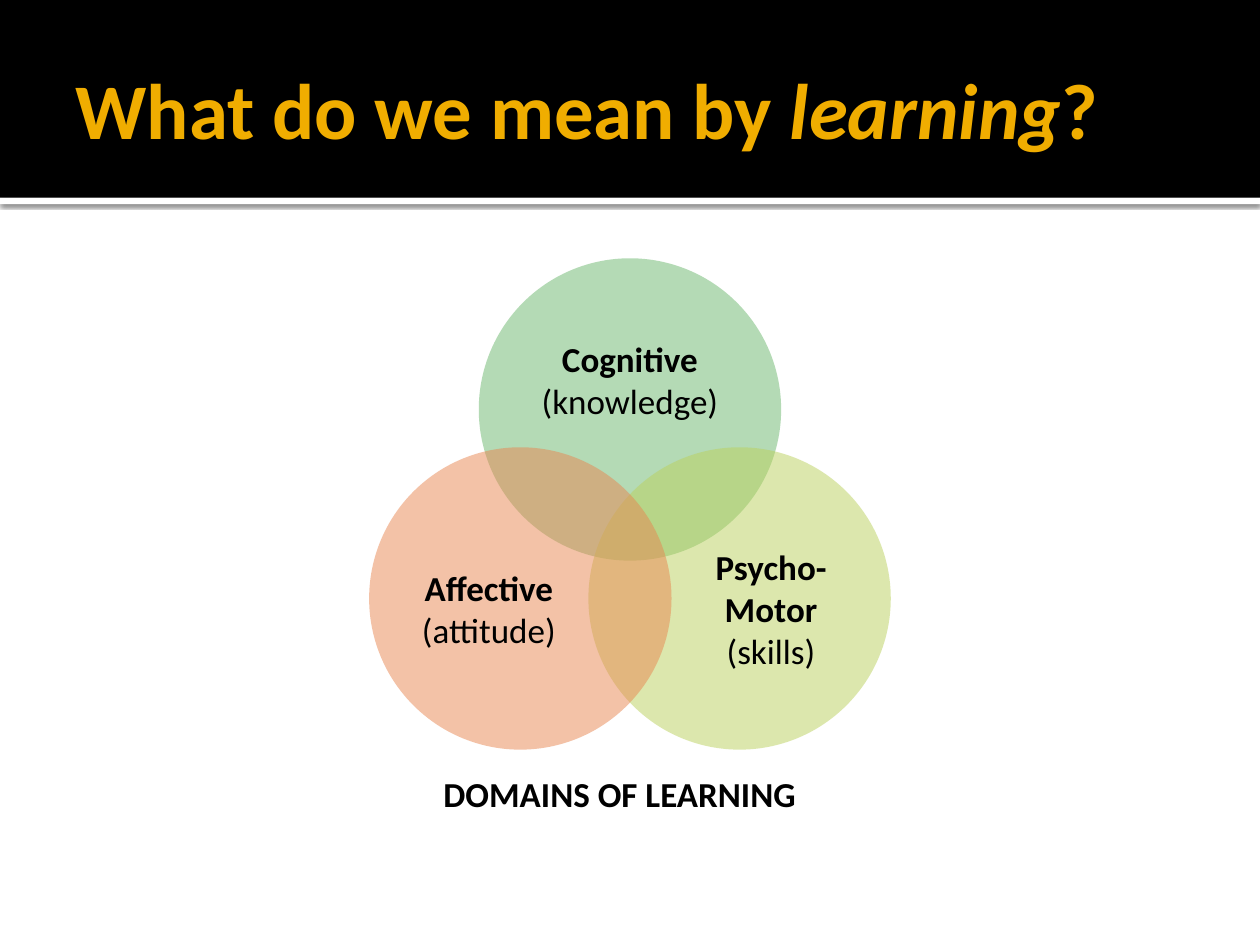
from dataclasses import dataclass

from lxml import etree
from pptx import Presentation
from pptx.dml.color import RGBColor
from pptx.enum.shapes import MSO_SHAPE
from pptx.enum.text import MSO_ANCHOR, MSO_AUTO_SIZE, PP_ALIGN
from pptx.oxml import parse_xml
from pptx.oxml.ns import nsdecls, qn
from pptx.util import Emu, Pt

PX = 9144  # EMU per px, 100 px to the inch
FONT = "Calibri"
COLORS = {
    "black": "000000",
    "white": "FFFFFF",
    "gold": "F0AD00",
    "green": "6BB76D",
    "lime": "BBD15D",
    "orange": "E88651",
}
DIAMETER = 240


@dataclass(frozen=True)
class Box:
    left: int
    top: int
    width: int
    height: int

    def emu(self) -> list[Emu]:
        return [Emu(v * PX) for v in (self.left, self.top, self.width, self.height)]


@dataclass(frozen=True)
class Domain:
    name: str
    meaning: str
    color: str
    left: int
    top: int
    label: Box


DOMAINS = [
    Domain("Cognitive", "(knowledge)", "green", 380, 205, Box(412, 247, 176, 108)),
    Domain("Psycho-Motor", "(skills)", "lime", 467, 355, Box(540, 417, 144, 132)),
    Domain("Affective", "(attitude)", "orange", 293, 355, Box(316, 417, 144, 132)),
]


def rgb(color: str) -> RGBColor:
    return RGBColor.from_string(COLORS[color])


def format_run(r, size: int, color: str, bold: bool = True) -> None:
    r.font.name = FONT
    r.font.size = Pt(size)
    r.font.bold = bold
    r.font.color.rgb = rgb(color)


def set_margins(tf, left: int, top: int, right: int, bottom: int) -> None:
    tf.margin_left, tf.margin_top = Emu(left * PX), Emu(top * PX)
    tf.margin_right, tf.margin_bottom = Emu(right * PX), Emu(bottom * PX)


def add_filled(shapes, kind: MSO_SHAPE, box: Box, color: str):
    sp = shapes.add_shape(kind, *box.emu())
    sp.shadow.inherit = False
    sp.fill.solid()
    sp.fill.fore_color.rgb = rgb(color)
    sp.line.fill.background()
    return sp


def add_drop_shadow(sp) -> None:
    effects = sp._element.spPr.find(qn("a:effectLst"))
    effects.append(parse_xml(
        f'<a:outerShdw {nsdecls("a")} blurRad="31750" dist="10160" dir="5400000" '
        f'algn="tl" rotWithShape="0"><a:srgbClr val="{COLORS["black"]}">'
        '<a:alpha val="60000"/></a:srgbClr></a:outerShdw>'))


def add_header(s) -> None:
    rule = add_filled(s.shapes, MSO_SHAPE.RECTANGLE, Box(0, 157, 1000, 5), "white")
    add_drop_shadow(rule)
    add_filled(s.shapes, MSO_SHAPE.RECTANGLE, Box(0, 0, 1000, 157), "black")

    title = s.shapes.title
    s.shapes._spTree.append(title._element)  # in front of the band
    title.left, title.top, title.width, title.height = Box(50, 17, 900, 137).emu()
    tf = title.text_frame
    tf.vertical_anchor = MSO_ANCHOR.MIDDLE
    tf.auto_size = MSO_AUTO_SIZE.NONE
    set_margins(tf, 10, 5, 5, 5)
    p = tf.paragraphs[0]
    p.alignment = PP_ALIGN.LEFT
    for text, italic in [("What do we mean by ", False), ("learning", True), ("?", False)]:
        r = p.add_run()
        r.text = text
        format_run(r, 45, "gold")
        r.font.italic = italic


def add_domain(shapes, domain: Domain) -> None:
    circle = add_filled(shapes, MSO_SHAPE.OVAL,
                        Box(domain.left, domain.top, DIAMETER, DIAMETER), domain.color)
    fill_color = circle._element.spPr.find(qn("a:solidFill"))[0]
    etree.SubElement(fill_color, qn("a:alpha"), val="50000")

    tf = shapes.add_textbox(*domain.label.emu()).text_frame
    tf.word_wrap = True
    tf.vertical_anchor = MSO_ANCHOR.MIDDLE
    set_margins(tf, 0, 0, 0, 0)
    tf.text = f"{domain.name}\n{domain.meaning}"
    for p, bold in zip(tf.paragraphs, (True, False)):
        p.alignment = PP_ALIGN.CENTER
        format_run(p.runs[0], 20, "black", bold)


def add_caption(shapes) -> None:
    tf = shapes.add_textbox(*Box(342, 608, 358, 44).emu()).text_frame
    tf.word_wrap = True
    tf.auto_size = MSO_AUTO_SIZE.SHAPE_TO_FIT_TEXT
    tf.text = "DOMAINS OF LEARNING"
    format_run(tf.paragraphs[0].runs[0], 20, "black")


def main() -> None:
    prs = Presentation()
    prs.slide_width, prs.slide_height = Emu(1000 * PX), Emu(750 * PX)
    s = prs.slides.add_slide(prs.slide_layouts[5])
    add_header(s)
    venn = s.shapes.add_group_shape()
    for domain in DOMAINS:
        add_domain(venn.shapes, domain)
    add_caption(venn.shapes)
    prs.save("out.pptx")


if __name__ == "__main__":
    main()
